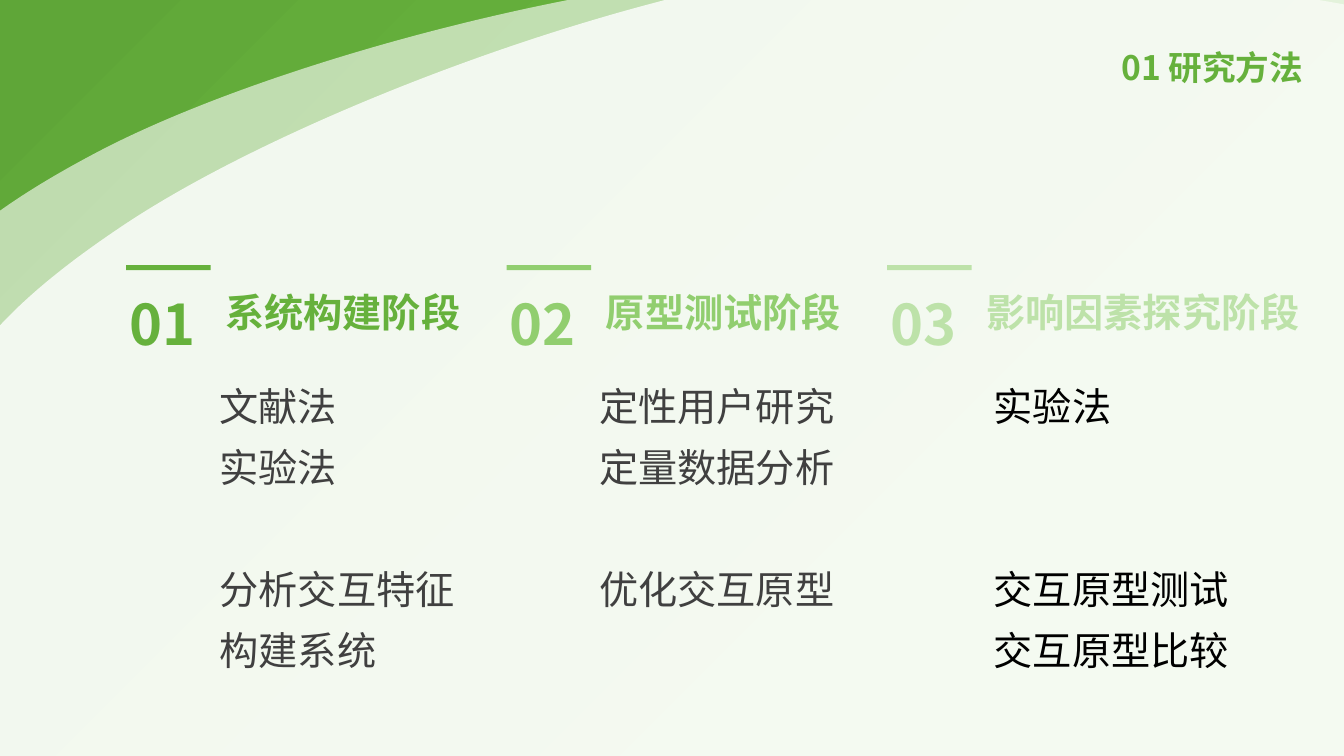
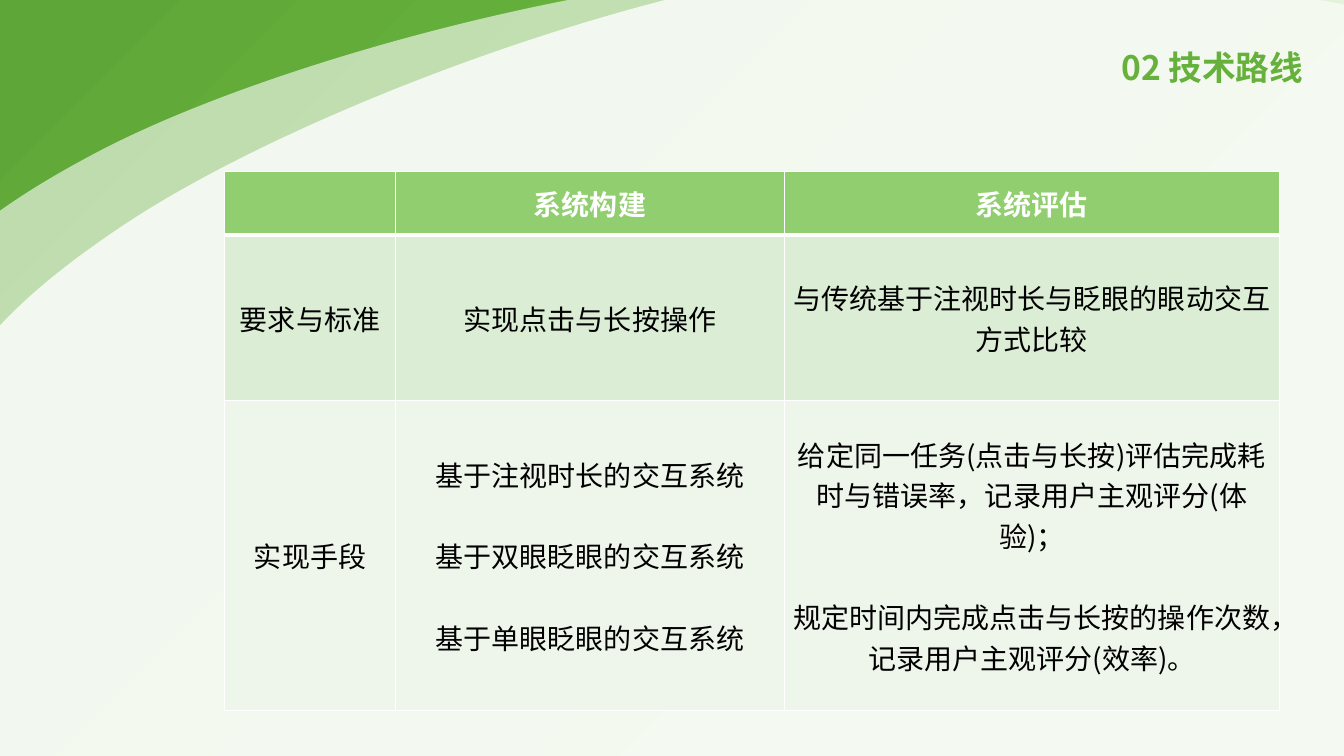
from dataclasses import dataclass

from lxml import etree
from pptx import Presentation
from pptx import oxml
from pptx.dml.color import RGBColor
from pptx.enum import shapes, text
from pptx.oxml import ns
from pptx.util import Cm, Pt


@dataclass(frozen=True)
class Theme:
    face: str = "Noto Sans CJK SC"
    white: str = "FFFFFF"
    black: str = "000000"
    gray: str = "404040"
    main: str = "66B13C"
    mid: str = "91CE6F"
    pale: str = "BDE2A9"
    glow: tuple = ((0, "7DC555"), (23, "7DC555"), (69, "66B13C"), (97, "5FA638"))
    bands: tuple = ("91CE6F", "DCEDD5", "EEF6EB")
    head: int = 24
    list: int = 28
    num: int = 40
    cell: int = 20
    lead: float = 1.3
    gap: float = 43.6
    skip: float = 29


T = Theme()
W, H = Cm(33.87), Cm(19.05)

FRAME = (-4.9, -0.86, 51.92, 25.22)
START = (-3.43, 9.88)
CURVES = [
    ((-2.59, 7.54), (-1.55, 5.94), (2.44, 3.84)),
    ((6.4, 1.75), (14.33, -0.51), (20.65, -0.81)),
    ((27, -1.12), (36.47, -0.03), (40.44, 2.08)),
    ((44.42, 4.17), (48.95, 10.57), (46.18, 13.87)),
    ((43.38, 17.2), (28.78, 23.65), (20.65, 24.31)),
    ((12.52, 24.97), (1.32, 19.94), (-2.64, 17.83)),
    ((-6.63, 15.75), (-4.27, 12.22), START),
]
VEILS = [(0, 0, 0, 60), (1.4, -0.13, 354.1, 80)]

STAGES = [
    dict(num="01", name="系统构建阶段", hue=T.main, ink=T.gray, shift=2.1,
         items=[("文献法", 0), ("实验法", 0), ("分析交互特征", 1), ("构建系统", 0)]),
    dict(num="02", name="原型测试阶段", hue=T.mid, ink=T.gray, shift=2.08,
         items=[("定性用户研究", 0), ("定量数据分析", 0), ("优化交互原型", 1)]),
    dict(num="03", name="影响因素探究阶段", hue=T.pale, ink=T.black, shift=2.43,
         items=[("实验法", 0), ("交互原型测试交互原型比较", 2)]),
]

COLS, ROWS = (4.31, 9.8, 12.47), (1.6, 4.18, 7.8)
GRID = [
    [[], ["系统构建"], ["系统评估"]],
    [["要求与标准"], ["实现点击与长按操作"],
     ["与传统基于注视时长与眨眼的眼动交互方式比较"]],
    [["实现手段"],
     ["基于注视时长的交互系统", "基于双眼眨眼的交互系统", "基于单眼眨眼的交互系统"],
     ["给定同一任务(点击与长按)评估完成耗时与错误率，记录用户主观评分(体验)；",
      "规定时间内完成点击与长按的操作次数，记录用户主观评分(效率)。"]],
]


def rgb(hue):
    return RGBColor.from_string(hue)


def place(item, x, y, w, h):
    item.left, item.top, item.width, item.height = Cm(x), Cm(y), Cm(w), Cm(h)


def paint(shape, hue):
    shape.shadow.inherit = False
    shape.line.fill.background()
    shape.fill.solid()
    shape.fill.fore_color.rgb = rgb(hue)


def write(para, words, size, hue, bold=False):
    run = para.add_run()
    run.text = words
    font = run.font
    font.size, font.bold, font.name = Pt(size), bold, T.face
    font.color.rgb = rgb(hue)
    props = run._r.get_or_add_rPr()
    props.set("lang", "zh-CN")
    etree.SubElement(props, ns.qn("a:ea")).set("typeface", T.face)


def lines(frame, count):
    return [frame.paragraphs[0]] + [frame.add_paragraph() for _ in range(count - 1)]


def label(slide, x, y, w, h, words, size, hue):
    box = slide.shapes.add_textbox(Cm(x), Cm(y), Cm(w), Cm(h))
    frame = box.text_frame
    frame.word_wrap = False
    frame.auto_size = text.MSO_AUTO_SIZE.SHAPE_TO_FIT_TEXT
    para = frame.paragraphs[0]
    para.line_spacing = T.lead
    write(para, words, size, hue, True)


def outline(slide, x, y):
    left, top, wide, high = FRAME
    pen = slide.shapes.build_freeform(Cm(START[0]), Cm(START[1]))
    pen.add_line_segments([(Cm(c[2][0]), Cm(c[2][1])) for c in CURVES])
    shape = pen.convert_to_shape()
    place(shape, left + x, top + y, wide, high)
    track = shape.element.spPr.find(".//" + ns.qn("a:path"))
    for part in list(track):
        track.remove(part)
    track.set("w", str(Cm(wide)))
    track.set("h", str(Cm(high)))
    for tag, dots in [("moveTo", [START])] + [("cubicBezTo", c) for c in CURVES]:
        step = etree.SubElement(track, ns.qn("a:" + tag))
        for px, py in dots:
            dot = etree.SubElement(step, ns.qn("a:pt"))
            dot.set("x", str(Cm(px - left)))
            dot.set("y", str(Cm(py - top)))
    etree.SubElement(track, ns.qn("a:close"))
    return shape


def backdrop(slide, master):
    tree = master.shapes.element
    base = slide.shapes.add_shape(shapes.MSO_SHAPE.RECTANGLE, 0, 0, W, H)
    paint(base, T.main)
    stops = "".join(f'<a:gs pos="{at * 1000}"><a:srgbClr val="{hue}"/></a:gs>'
                    for at, hue in T.glow)
    grad = oxml.parse_xml(
        f'<a:gradFill {ns.nsdecls("a")}><a:gsLst>{stops}</a:gsLst>'
        '<a:path path="circle"><a:fillToRect l="100000" t="100000"/></a:path>'
        '</a:gradFill>')
    props = base.element.spPr
    props.replace(props.find(ns.qn("a:solidFill")), grad)
    veils = []
    for x, y, turn, alpha in VEILS:
        veil = outline(slide, x, y)
        veil.rotation = turn
        paint(veil, T.white)
        tint = veil.element.spPr.find(".//" + ns.qn("a:srgbClr"))
        etree.SubElement(tint, ns.qn("a:alpha")).set("val", str(alpha * 1000))
        veils.append(veil)
    for i, shape in enumerate([base] + veils):
        tree.insert(2 + i, shape.element)


def title(slide, words):
    head = slide.shapes.title
    place(head, 18.36, 0.75, 14.73, 2.01)
    frame = head.text_frame
    frame.auto_size = text.MSO_AUTO_SIZE.NONE
    frame.vertical_anchor = text.MSO_ANCHOR.MIDDLE
    para = frame.paragraphs[0]
    para.alignment = text.PP_ALIGN.RIGHT
    para.line_spacing = 0.9
    write(para, words, T.head, T.main, True)


def bullets(body, items, ink):
    frame = body.text_frame
    frame.word_wrap = True
    frame.auto_size = text.MSO_AUTO_SIZE.NONE
    frame.vertical_anchor = text.MSO_ANCHOR.TOP
    for para, (words, gaps) in zip(lines(frame, len(items)), items):
        props = para._p.get_or_add_pPr()
        props.set("marL", "0")
        props.set("indent", "0")
        etree.SubElement(props, ns.qn("a:buNone"))
        para.line_spacing = T.lead
        para.space_before = Pt(gaps * T.gap)
        write(para, words, T.list, ink)


def methods(slide):
    title(slide, "01 研究方法")
    bodies = list(slide.placeholders)[1:]
    for i, (stage, body) in enumerate(zip(STAGES, bodies)):
        x, y, hue = 3.18 + 9.59 * i, 6.68, stage["hue"]
        bar = slide.shapes.add_shape(
            shapes.MSO_SHAPE.RECTANGLE, Cm(x), Cm(y), Cm(2.13), Cm(0.13))
        paint(bar, hue)
        label(slide, x - 0.17, y - 0.02, 2.26, 2.49, stage["num"], T.num, hue)
        name = stage["name"]
        label(slide, x + 2.25, y + 0.1, 0.99 * len(name) + 0.56, 1.65,
              name, T.list, hue)
        place(body, x + stage["shift"], 9.14, 6.99, 8.03)
        bullets(body, stage["items"], stage["ink"])
    for body in bodies[len(STAGES):]:
        body.element.getparent().remove(body.element)


def border(cell, row):
    props = cell._tc.get_or_add_tcPr()
    thick = {"T": 3 if row == 1 else 1, "B": 3 if row == 0 else 1}
    for side in "LRTB":
        props.append(oxml.parse_xml(
            f'<a:ln{side} {ns.nsdecls("a")} w="{Pt(thick.get(side, 1))}">'
            f'<a:solidFill><a:srgbClr val="{T.white}"/></a:solidFill></a:ln{side}>'))


def route(slide):
    title(slide, "02 技术路线")
    table = slide.shapes.add_table(
        len(ROWS), len(COLS), Cm(5.66), Cm(4.32), Cm(sum(COLS)), Cm(sum(ROWS))).table
    table.horz_banding = False
    for col, size in zip(table.columns, COLS):
        col.width = Cm(size)
    for r, (row, size) in enumerate(zip(table.rows, ROWS)):
        row.height = Cm(size)
        for cell, words in zip(row.cells, GRID[r]):
            border(cell, r)
            cell.fill.solid()
            cell.fill.fore_color.rgb = rgb(T.bands[r])
            cell.vertical_anchor = text.MSO_ANCHOR.MIDDLE
            cell.margin_left = cell.margin_right = Cm(0.18)
            cell.margin_top = cell.margin_bottom = 0
            for i, (para, part) in enumerate(
                    zip(lines(cell.text_frame, len(words)), words)):
                para.alignment = text.PP_ALIGN.CENTER
                para.space_before = Pt(T.skip if i else 0)
                write(para, part, T.cell, T.black if r else T.white, r == 0)


def main():
    deck = Presentation()
    deck.slide_width, deck.slide_height = W, H
    first = deck.slides.add_slide(deck.slide_layouts.get_by_name("Comparison"))
    backdrop(first, deck.slide_master)
    methods(first)
    route(deck.slides.add_slide(deck.slide_layouts.get_by_name("Title Only")))
    deck.save("out.pptx")


if __name__ == "__main__":
    main()
